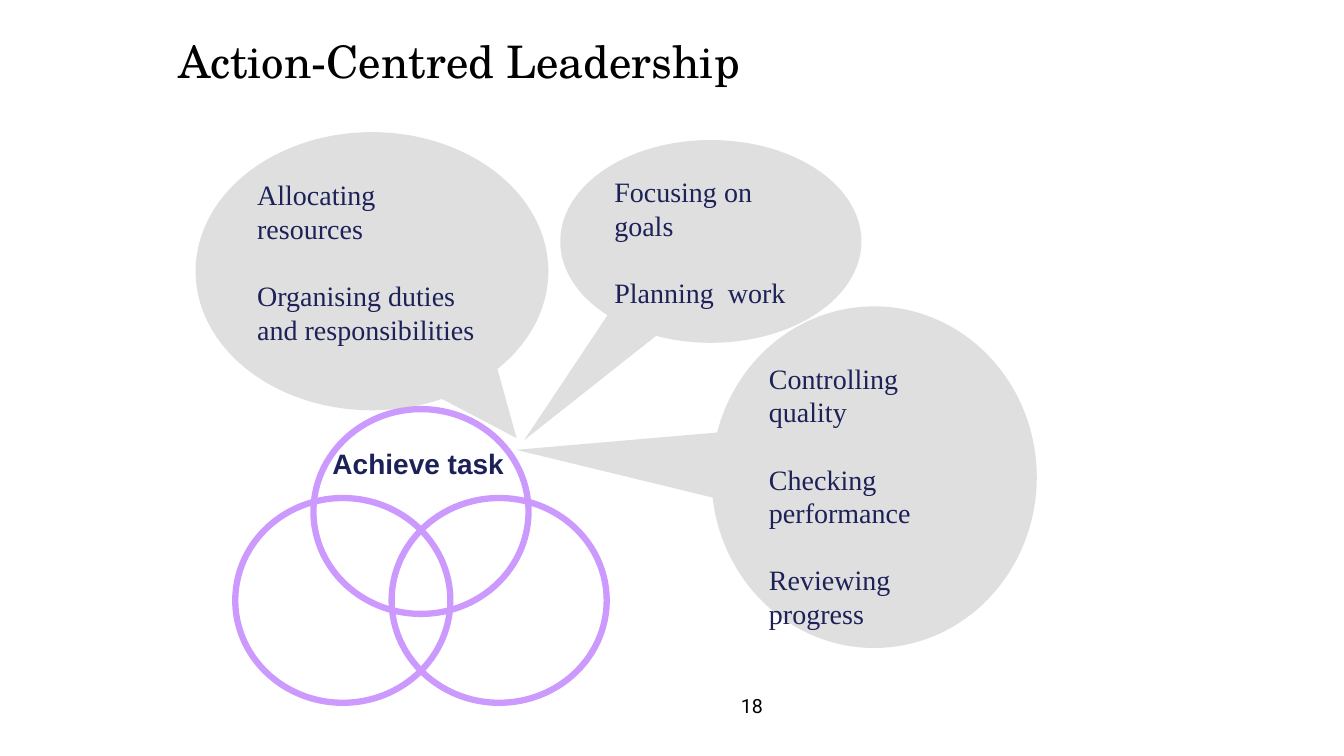
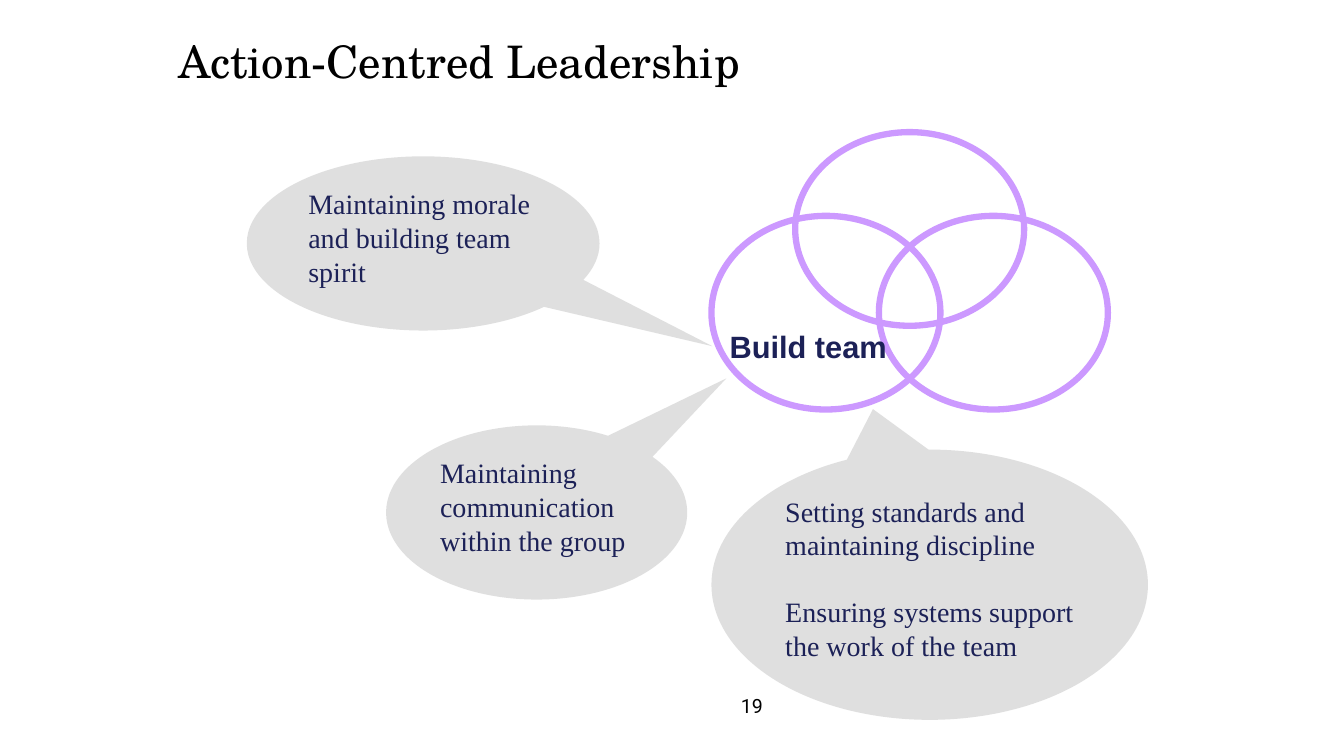
from dataclasses import dataclass, field

from lxml import etree
from pptx import Presentation
from pptx.dml.color import RGBColor
from pptx.enum.shapes import MSO_SHAPE
from pptx.enum.text import MSO_ANCHOR, MSO_AUTO_SIZE, PP_ALIGN
from pptx.oxml.ns import qn
from pptx.util import Cm, Pt

OVAL = MSO_SHAPE.OVAL
BUBBLE = MSO_SHAPE.OVAL_CALLOUT
TOP, MIDDLE = MSO_ANCHOR.TOP, MSO_ANCHOR.MIDDLE
LEFT, RIGHT = PP_ALIGN.LEFT, PP_ALIGN.RIGHT
GROW = MSO_AUTO_SIZE.SHAPE_TO_FIT_TEXT


@dataclass(frozen=True)
class Theme:
    black: RGBColor = RGBColor(0x00, 0x00, 0x00)
    navy: RGBColor = RGBColor(0x1C, 0x21, 0x57)
    lilac: RGBColor = RGBColor(0xCC, 0x99, 0xFF)
    grey: RGBColor = RGBColor(0xC0, 0xC0, 0xC0)
    alpha: int = 50000
    ring: Pt = Pt(4.5)
    gap: Pt = Pt(24)
    title: dict = field(default_factory=lambda: {"name": "TeX Gyre Schola", "size": Pt(32)})
    body: dict = field(default_factory=lambda: {"name": "Times New Roman", "size": Pt(20)})
    label: dict = field(default_factory=lambda: {"name": "Arial", "size": Pt(20), "bold": True})
    number: dict = field(default_factory=lambda: {"name": "Roboto", "size": Pt(14)})


THEME = Theme()
HEADING = "Action-Centred Leadership"
FIRST = 18

SLIDES = [
    {
        "rings": {"box": (7.9, 10.31, 5.42, 5.16), "step": (1.97, 2.24)},
        "label": {"text": "Achieve task", "box": (8.13, 11.13, 4.83, 1.09), "size": Pt(20)},
        "bubbles": [
            ((4.93, 3.33, 8.89, 7.01), (0.41, 0.6),
             ["Allocating resources", "Organising duties and responsibilities"]),
            ((14.12, 3.53, 7.59, 5.11), (-0.62, 0.98),
             ["Focusing on goals", "Planning  work"]),
            ((17.93, 7.72, 8.2, 8.61), (-1.1, -0.08),
             ["Controlling quality", "Checking performance", "Reviewing progress"]),
        ],
    },
    {
        "rings": {"box": (20.04, 3.33, 5.77, 4.88), "step": (2.11, 2.11)},
        "label": {"text": "Build team", "box": (18.14, 8.13, 4.5, 1.19), "size": Pt(22)},
        "bubbles": [
            ((9.73, 10.72, 7.59, 4.39), (0.63, -0.77),
             ["Maintaining communication within the group"]),
            ((6.22, 3.94, 8.89, 4.39), (0.82, 0.59),
             ["Maintaining morale and building team spirit"]),
            ((17.93, 11.33, 11, 6.81), (-0.13, -0.65),
             ["Setting standards and maintaining discipline",
              "Ensuring systems support the work of the team"]),
        ],
    },
]


def apply(target, values):
    for name, value in values.items():
        setattr(target, name, value)


def write(shape, lines, font, color, frame=None, para=None):
    text = shape.text_frame
    apply(text, {"word_wrap": True, "vertical_anchor": TOP} | (frame or {}))
    for index, line in enumerate(lines):
        item = text.paragraphs[0] if index == 0 else text.add_paragraph()
        item.text = line
        apply(item, {"alignment": LEFT} | (para or {}))
        if index:
            item.space_before = THEME.gap
        apply(item.font, font)
        item.font.color.rgb = color


def add_text(shapes, box, line, font, color, **style):
    write(shapes.add_textbox(*map(Cm, box)), [line], font, color, **style)


def add_ring(shapes, box):
    ring = shapes.add_shape(OVAL, *map(Cm, box))
    ring.shadow.inherit = False
    ring.fill.background()
    ring.line.color.rgb = THEME.lilac
    ring.line.width = THEME.ring


def add_rings(shapes, box, step):
    left, top, width, height = box
    across, down = step
    for side, drop in ((1, 1), (-1, 1), (0, 0)):
        add_ring(shapes, (left + side * across, top + drop * down, width, height))


def add_bubble(shapes, box, tip, lines):
    bubble = shapes.add_shape(BUBBLE, *map(Cm, box))
    bubble.shadow.inherit = False
    for index, value in enumerate(tip):
        bubble.adjustments[index] = value
    bubble.fill.solid()
    bubble.fill.fore_color.rgb = THEME.grey
    color = bubble.element.spPr.find(".//" + qn("a:srgbClr"))
    etree.SubElement(color, qn("a:alpha")).set("val", str(THEME.alpha))
    bubble.line.fill.background()
    write(bubble, lines, THEME.body, THEME.navy)


def add_slide(deck, number, rings, label, bubbles):
    shapes = deck.slides.add_slide(deck.slide_layouts[6]).shapes
    add_text(shapes, (4.24, 0.84, 24.97, 1.55), HEADING, THEME.title, THEME.black,
             frame={"vertical_anchor": MIDDLE}, para={"line_spacing": 0.9})
    group = shapes.add_group_shape().shapes
    add_rings(group, **rings)
    add_text(group, label["box"], label["text"], THEME.label | {"size": label["size"]},
             THEME.navy, frame={"word_wrap": False, "auto_size": GROW})
    for bubble in bubbles:
        add_bubble(shapes, *bubble)
    add_text(shapes, (18.21, 17.35, 1.27, 1.27), str(number), THEME.number, THEME.black,
             para={"alignment": RIGHT})


def main():
    deck = Presentation()
    apply(deck, {"slide_width": Cm(33.87), "slide_height": Cm(19.05)})
    for number, content in enumerate(SLIDES, FIRST):
        add_slide(deck, number, **content)
    deck.save("out.pptx")


if __name__ == "__main__":
    main()
